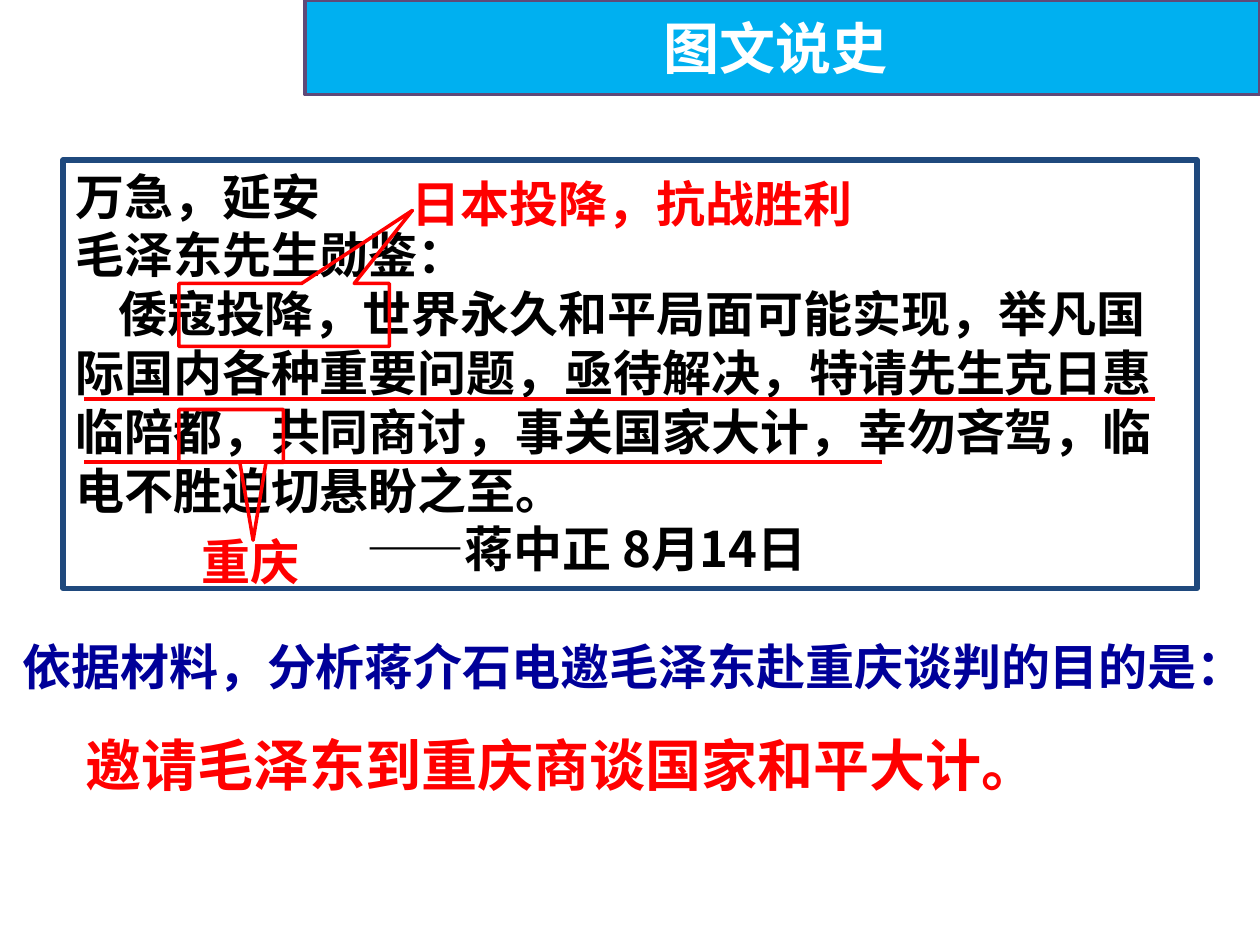
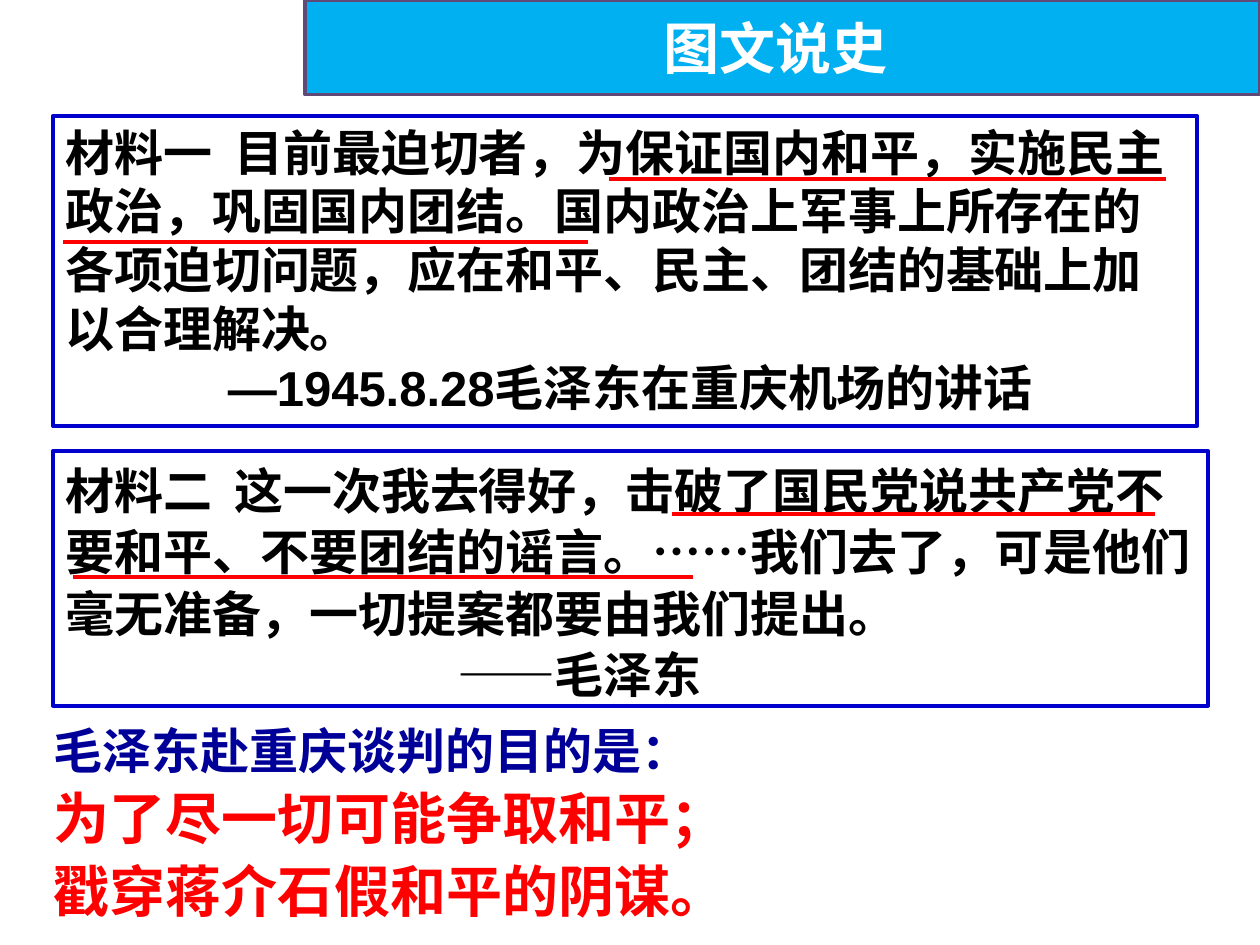
from dataclasses import dataclass

from lxml import etree
from pptx import Presentation
from pptx.dml.color import RGBColor
from pptx.enum.shapes import MSO_CONNECTOR as Link, MSO_SHAPE as Form
from pptx.enum.text import MSO_ANCHOR as Anchor, PP_ALIGN as Align
from pptx.oxml.ns import qn
from pptx.shapes.autoshape import Shape
from pptx.slide import Slide
from pptx.util import Pt

# Shared look: 100 px to the inch
SCALE = 9144
NOTO, ARIAL, CALIBRI = "Noto Sans CJK SC", "Arial", "Calibri"
RED, NAVY, BLACK, WHITE = "FF0000", "000099", "000000", "FFFFFF"
SKY, PLUM, STEEL, BLUE = "00B0F0", "5F4A78", "1F497D", "0000CC"
Box = tuple[int, int, int, int]


@dataclass
class Para:
    text: str
    indent: int = 0


@dataclass
class Label:
    box: Box
    text: str
    color: str = RED
    size: int = 28
    font: str = CALIBRI


@dataclass
class Panel:
    box: Box
    paras: list[Para]
    edge: str
    width: float
    font: str
    pitch: float = 33.6


@dataclass
class Callout:
    box: Box
    tip: tuple[float, float]


@dataclass
class Rule:
    left: int
    right: int
    y: int


def px(n: int) -> int:
    return n * SCALE


def rgb(code: str) -> RGBColor:
    return RGBColor.from_string(code)


def add_form(slide: Slide, form: Form, box: Box, edge: str, width: float,
             fill: str | None = None) -> Shape:
    shape = slide.shapes.add_shape(form, *map(px, box))
    shape.shadow.inherit = False
    if fill:
        shape.fill.solid()
        shape.fill.fore_color.rgb = rgb(fill)
    else:
        shape.fill.background()
    shape.line.color.rgb = rgb(edge)
    shape.line.width = Pt(width)
    return shape


def write(shape: Shape, paras: list[Para], color: str, size: int, font: str,
          pitch: float) -> None:
    frame = shape.text_frame
    frame.word_wrap = True
    frame.vertical_anchor = Anchor.TOP
    for i, item in enumerate(paras):
        para = frame.add_paragraph() if i else frame.paragraphs[0]
        para.text = item.text
        para.alignment = Align.LEFT
        para.line_spacing = Pt(pitch)
        face = para.font
        face.name, face.size, face.bold = font, Pt(size), True
        face.color.rgb = rgb(color)
        # East Asian typeface and first-line indent
        props = para._p.get_or_add_pPr()
        props.set("indent", str(px(item.indent)))
        asian = etree.Element(qn("a:ea"), typeface=NOTO)
        props.find(qn("a:defRPr")).find(qn("a:latin")).addnext(asian)


def add_label(slide: Slide, label: Label) -> None:
    shape = slide.shapes.add_textbox(*map(px, label.box))
    write(shape, [Para(label.text)], label.color, label.size, label.font,
          label.size * 1.2)


def add_panel(slide: Slide, panel: Panel) -> None:
    shape = add_form(slide, Form.RECTANGLE, panel.box, panel.edge, panel.width)
    write(shape, panel.paras, BLACK, 28, panel.font, panel.pitch)


def add_callout(slide: Slide, call: Callout) -> None:
    shape = add_form(slide, Form.RECTANGULAR_CALLOUT, call.box, RED, 2)
    shape.adjustments[0], shape.adjustments[1] = call.tip


def add_rule(slide: Slide, rule: Rule) -> None:
    line = slide.shapes.add_connector(
        Link.STRAIGHT, *map(px, (rule.left, rule.y, rule.right, rule.y)))
    line.line.color.rgb = rgb(RED)
    line.line.width = Pt(2.25)
    etree.SubElement(line._element.spPr, qn("a:effectLst"))


def add_band(slide: Slide) -> None:
    add_form(slide, Form.RECTANGLE, (242, 0, 758, 75), PLUM, 2, SKY)
    add_label(slide, Label((517, 6, 310, 52), "图文说史", WHITE, 32, NOTO))


DRAW = {Label: add_label, Panel: add_panel, Callout: add_callout, Rule: add_rule}

# The telegram
TELEGRAM = [
    Panel((50, 127, 900, 340), [
        Para("万急，延安"),
        Para("毛泽东先生勋鉴："),
        Para("倭寇投降，世界永久和平局面可能实现，举凡国际国内各种重要问题，"
             "亟待解决，特请先生克日惠临陪都，共同商讨，事关国家大计，"
             "幸勿吝驾，临电不胜迫切悬盼之至。", 34),
        Para("——蒋中正 8月14日", 231),
    ], STEEL, 3, NOTO),
    Callout((142, 225, 167, 50), (0.61, -1.66)),
    Label((317, 133, 375, 57), "日本投降，抗战胜利"),
    Callout((142, 325, 83, 42), (0.21, 1.97)),
    Label((150, 417, 133, 57), "重庆"),
    Label((8, 500, 1000, 57),
          "依据材料，分析蒋介石电邀毛泽东赴重庆谈判的目的是：", NAVY),
    Label((58, 575, 783, 64), "邀请毛泽东到重庆商谈国家和平大计。", RED, 32, NOTO),
    Rule(67, 917, 317),
    Rule(67, 700, 367),
]

# The two readings
READINGS = [
    Panel((42, 92, 908, 246), [
        Para("材料一  目前最迫切者，为保证国内和平，实施民主政治，巩固国内团结。"
             "国内政治上军事上所存在的各项迫切问题，应在和平、民主、团结的"
             "基础上加以合理解决。"),
        Para("—1945.8.28毛泽东在重庆机场的讲话", 129),
    ], BLUE, 2.25, ARIAL),
    Panel((42, 358, 917, 202), [
        Para("材料二  这一次我去得好，击破了国民党说共产党不要和平、不要团结的谣言。"
             "……我们去了，可是他们毫无准备，一切提案都要由我们提出。"),
        Para("——毛泽东", 311),
    ], BLUE, 2.25, ARIAL, 35.2),
    Label((33, 567, 517, 57), "毛泽东赴重庆谈判的目的是：", NAVY),
    Label((33, 617, 633, 64), "为了尽一切可能争取和平；", RED, 32, NOTO),
    Label((33, 675, 633, 64), "戳穿蒋介石假和平的阴谋。", RED, 32, NOTO),
    Rule(483, 925, 142),
    Rule(50, 467, 192),
    Rule(533, 917, 408),
    Rule(58, 550, 458),
]


def main() -> None:
    deck = Presentation()
    deck.slide_width, deck.slide_height = px(1000), px(750)
    for parts in (TELEGRAM, READINGS):
        slide = deck.slides.add_slide(deck.slide_layouts[6])
        add_band(slide)
        for part in parts:
            DRAW[type(part)](slide, part)
    deck.save("out.pptx")


if __name__ == "__main__":
    main()
